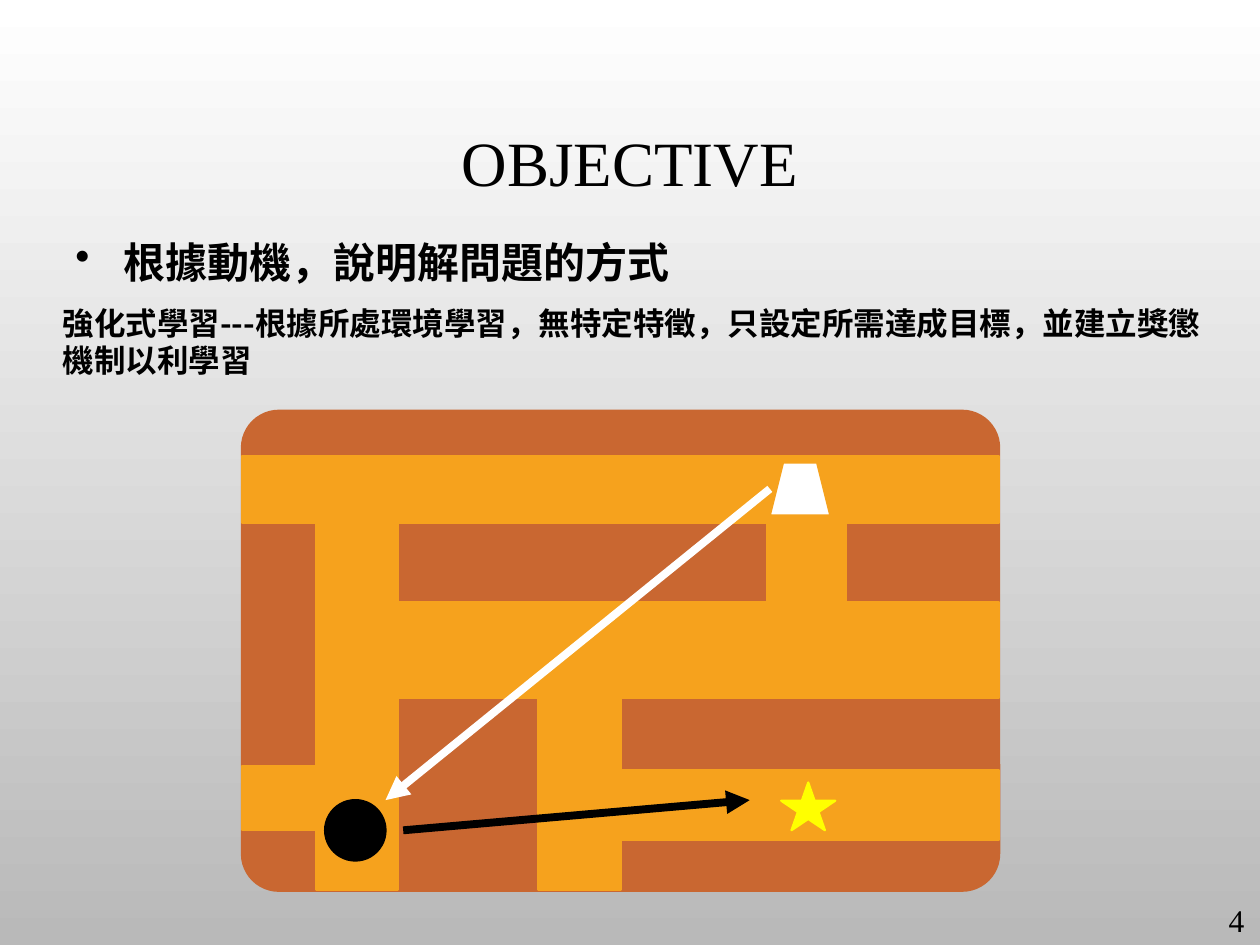
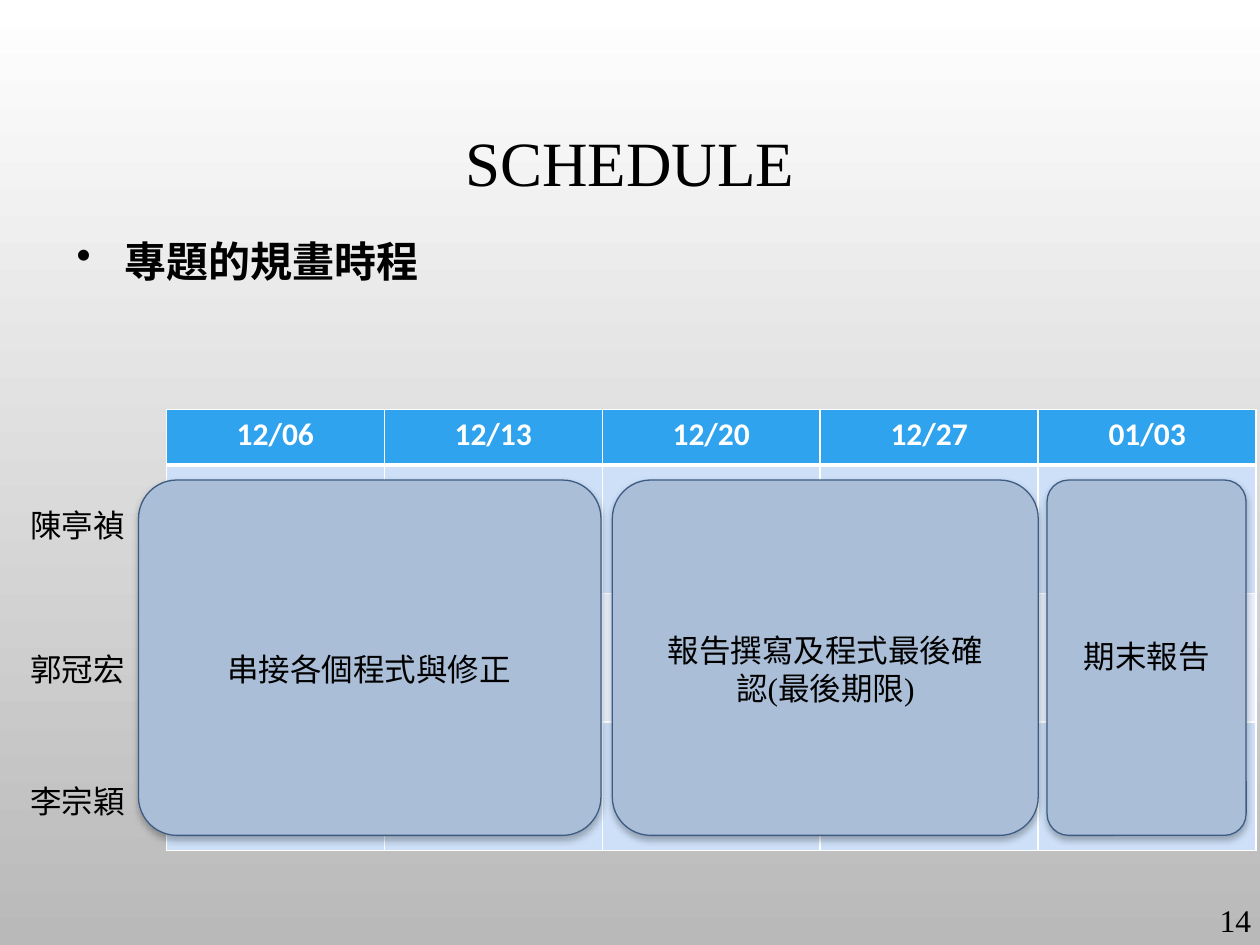
from lxml.etree import SubElement as Sub
from pptx import Presentation
from pptx.dml.color import RGBColor as RGB
from pptx.enum.shapes import MSO_CONNECTOR as Conn, MSO_SHAPE as Geo
from pptx.enum.text import MSO_ANCHOR as Anchor, PP_ALIGN as Align
from pptx.oxml.ns import qn
from pptx.util import Inches, Pt

BLACK = RGB(0x00, 0x00, 0x00)
WHITE = RGB(0xFF, 0xFF, 0xFF)
GREY = RGB(0xB9, 0xB9, 0xB9)
WALL = RGB(0xC9, 0x67, 0x31)
ROAD = RGB(0xF6, 0xA2, 0x1D)
GOLD = RGB(0xFF, 0xFF, 0x00)
HEAD = RGB(0x2F, 0xA3, 0xEE)
ODD = RGB(0xCD, 0xE0, 0xF8)
EVEN = RGB(0xE8, 0xF0, 0xFC)
TASK = RGB(0xAA, 0xBE, 0xD7)
EDGE = RGB(0x3E, 0x5C, 0x83)
SERIF, SANS, CJK = "Times New Roman", "Calibri", "Noto Sans CJK SC"

DATES = ["12/06", "12/13", "12/20", "12/27", "01/03"]
NAMES = [("陳亭禎", 3.97), ("郭冠宏", 5.11), ("李宗穎", 6.16)]
TASKS = [
    (1.1, 3.67, "串接各個程式與修正", 1.52, 5.11, 0.4),
    (4.86, 3.38, "報告撰寫及程式最後確認(最後期限)", 5.14, 4.96, 0.71),
    (8.31, 1.58, "期末報告", 7.69, 5.01, 0.4),
]
BLOCK = [(3.16, 4.15), (3.16, 4.78), (6.09, 4.78), (6.09, 4.15)]
PATHS = [
    (1.92, 3.62), (7.93, 3.62), (7.93, 4.15), (6.71, 4.15), (6.71, 4.78),
    (7.93, 4.78), (7.93, 5.54), (4.93, 5.54), (4.93, 6.11), (7.93, 6.11),
    (7.93, 6.67), (4.93, 6.67), (4.93, 7.06), (4.27, 7.06), (4.27, 5.54),
    (3.16, 5.54), (3.16, 7.06), (2.51, 7.06), (2.51, 6.59), (1.92, 6.59),
    (1.92, 6.08), (2.51, 6.08), (2.51, 4.15), (1.92, 4.15),
]


class Deck:
    """Holds the shared style and draws on the current slide."""

    def __init__(self):
        self.prs = Presentation()
        self.prs.slide_width, self.prs.slide_height = Inches(10), Inches(7.5)

    def page(self, title, num, left, width):
        self.slide = self.prs.slides.add_slide(self.prs.slide_layouts[6])
        self.shapes = self.slide.shapes
        fill = self.slide.background.fill
        fill.gradient()
        fill.gradient_angle = 270
        for stop, color in zip(fill.gradient_stops, (WHITE, GREY)):
            stop.color.rgb = color
        frame = self.text(title, 0.75, 0.44, 8.5, 1.75, size=36, align=Align.CENTER)
        frame.vertical_anchor = Anchor.MIDDLE
        frame.paragraphs[0].line_spacing = 0.9
        self.text(num, left, 7.1, width, 0.4, align=Align.CENTER, wrap=False)

    def style(self, para, size=18, font=SERIF, color=BLACK, bold=False):
        for run in para.runs:
            face = run.font
            face.size, face.name, face.bold = Pt(size), font, bold
            face.color.rgb = color
            Sub(run._r.get_or_add_rPr(), qn("a:ea"), typeface=CJK)

    def text(self, words, x, y, w, h, align=Align.LEFT, wrap=True, **look):
        box = self.shapes.add_textbox(Inches(x), Inches(y), Inches(w), Inches(h))
        frame = box.text_frame
        frame.word_wrap = wrap
        frame.text = words
        para = frame.paragraphs[0]
        para.alignment = align
        self.style(para, **look)
        return frame

    def bullet(self, words, x, y, w, h):
        para = self.text(words, x, y, w, h, size=24, bold=True).paragraphs[0]
        props = para._p.get_or_add_pPr()
        props.set("marL", str(Inches(0.38)))
        props.set("indent", str(Inches(-0.38)))
        Sub(Sub(props, qn("a:buClr")), qn("a:srgbClr"), val=str(BLACK))
        Sub(props, qn("a:buChar"), char="•")
        para.line_spacing = 1.2

    def paint(self, shape, fill, line, width):
        shape.shadow.inherit = False
        shape.fill.solid()
        shape.fill.fore_color.rgb = fill
        shape.line.color.rgb = line
        shape.line.width = Pt(width)
        return shape

    def shape(self, geo, x, y, w, h, fill, line=None, width=1.25, round=None):
        item = self.shapes.add_shape(geo, Inches(x), Inches(y), Inches(w), Inches(h))
        if round:
            item.adjustments[0] = round
        return self.paint(item, fill, line or fill, width)

    def outline(self, rings, fill):
        rings = [[(Inches(x), Inches(y)) for x, y in ring] for ring in rings]
        pen = self.shapes.build_freeform(*rings[0][0])
        for ring in rings:
            if ring is not rings[0]:
                pen.move_to(*ring[0])
            pen.add_line_segments(ring[1:], close=True)
        return self.paint(pen.convert_to_shape(), fill, fill, 1.25)

    def arrow(self, start, end, color):
        ends = [Inches(v) for v in (*start, *end)]
        line = self.shapes.add_connector(Conn.STRAIGHT, *ends)
        line.line.color.rgb = color
        line.line.width = Pt(4.5)
        Sub(line.line._get_or_add_ln(), qn("a:tailEnd"), type="triangle")
        Sub(line._element.spPr, qn("a:effectLst"))

    def shade(self, shape):
        effects = shape._element.spPr.find(qn("a:effectLst"))
        cast = Sub(effects, qn("a:outerShdw"), blurRad=str(Pt(4)),
                   dist=str(Pt(2)), dir="5400000", rotWithShape="0")
        color = Sub(cast, qn("a:srgbClr"), val=str(BLACK))
        Sub(color, qn("a:alpha"), val="28000")

    def cell(self, cell, fill, base):
        props = cell._tc.get_or_add_tcPr()
        for side, width in zip("LRTB", (1, 1, 1, base)):
            line = Sub(props, qn(f"a:ln{side}"), w=str(Pt(width)))
            Sub(Sub(line, qn("a:solidFill")), qn("a:srgbClr"), val=str(WHITE))
        cell.fill.solid()
        cell.fill.fore_color.rgb = fill

    def table(self, heads, fills, x, y, wide, highs):
        count = len(heads)
        grid = self.shapes.add_table(len(highs), count, Inches(x), Inches(y),
                                     Inches(wide * count), Inches(sum(highs))).table
        for col, head in zip(grid.columns, heads):
            col.width = Inches(wide)
        for r, (high, fill) in enumerate(zip(highs, fills)):
            grid.rows[r].height = Inches(high)
            for c, head in enumerate(heads):
                cell = grid.cell(r, c)
                self.cell(cell, fill, 1 if r else 3)
                if r == 0:
                    cell.text = head
                    para = cell.text_frame.paragraphs[0]
                    para.alignment = Align.CENTER
                    self.style(para, font=SANS, color=WHITE, bold=True)


def goal(deck):
    deck.page("OBJECTIVE", "4", 9.65, 0.33)
    deck.bullet("根據動機，說明解問題的方式", 0.5, 1.75, 8.5, 0.6)
    deck.text("強化式學習---根據所處環境學習，無特定特徵，只設定所需達成目標，並建立獎懲機制以利學習",
              0.4, 2.36, 9.38, 0.71, font=CJK, bold=True)
    deck.shape(Geo.ROUNDED_RECTANGLE, 1.92, 3.26, 6.01, 3.81, WALL, round=0.077)
    deck.outline([BLOCK, PATHS], ROAD)
    deck.shape(Geo.OVAL, 2.58, 6.35, 0.48, 0.48, BLACK)
    deck.shape(Geo.TRAPEZOID, 6.11, 3.67, 0.48, 0.42, WHITE, ROAD)
    deck.arrow((6.11, 3.88), (3.06, 6.35), WHITE)
    deck.arrow((3.2, 6.59), (5.95, 6.35), BLACK)
    deck.shape(Geo.STAR_5_POINT, 6.2, 6.21, 0.43, 0.38, GOLD)


def plan(deck):
    deck.page("SCHEDULE", "14", 9.58, 0.45)
    deck.table(DATES, [HEAD, ODD, EVEN, ODD], 1.32, 3.25, 1.73, [0.44] + [1.02] * 3)
    for name, y in NAMES:
        deck.text(name, 0.14, y, 0.96, 0.4, wrap=False)
    for x, w, words, left, top, high in TASKS:
        card = deck.shape(Geo.ROUNDED_RECTANGLE, x, 3.81, w, 2.82,
                          TASK, EDGE, 0.75, 0.108)
        deck.shade(card)
        deck.text(words, left, top, 2.82, high, align=Align.CENTER)
    deck.bullet("專題的規畫時程", 0.51, 1.74, 8.5, 0.6)


def main():
    deck = Deck()
    goal(deck)
    plan(deck)
    deck.prs.save("out.pptx")


if __name__ == "__main__":
    main()
